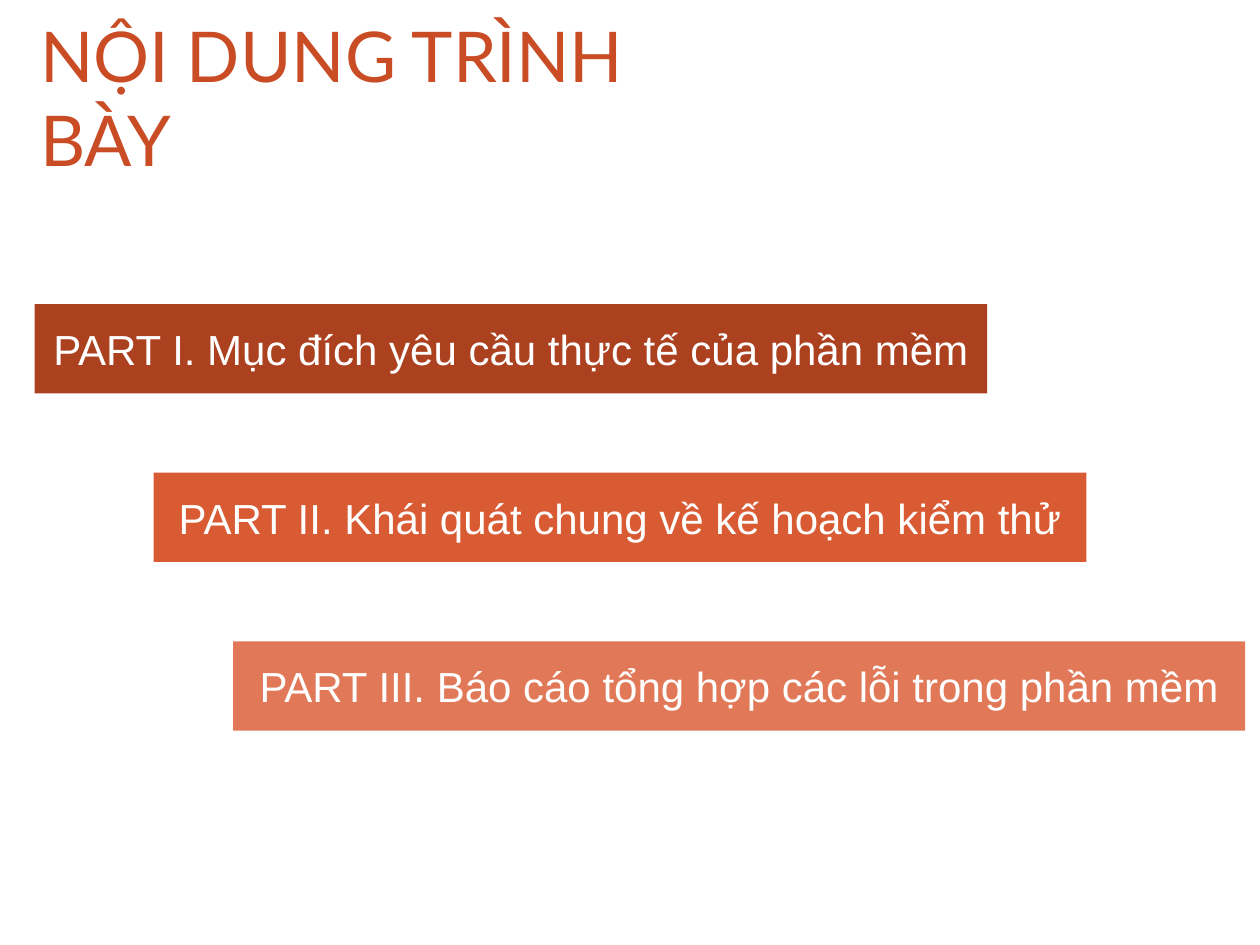
import pptx
import pptx.util
import pptx.dml.color
import pptx.enum.shapes
import pptx.enum.text

Cm = pptx.util.Cm
Pt = pptx.util.Pt
RGBColor = pptx.dml.color.RGBColor
PP_ALIGN = pptx.enum.text.PP_ALIGN

WHITE = RGBColor(0xFF, 0xFF, 0xFF)
TITLE_COLOR = RGBColor(0xC9, 0x4C, 0x25)
DARK = RGBColor(0xAC, 0x41, 0x20)
MEDIUM = RGBColor(0xD9, 0x5B, 0x33)
LIGHT = RGBColor(0xE1, 0x79, 0x59)

TITLE = "NỘI DUNG TRÌNH BÀY"
# text, left and width in cm, fill
PARTS = [
    ("PART I. Mục đích yêu cầu thực tế của phần mềm", 0.7, 19.2, DARK),
    ("PART II. Khái quát chung về kế hoạch kiểm thử", 3.1, 18.8, MEDIUM),
    ("PART III. Báo cáo tổng hợp các lỗi trong phần mềm", 4.7, 20.4, LIGHT),
]
FIRST_TOP, BAR_HEIGHT, BAR_PITCH = 6.13, 1.8, 3.4


def write_text(sp, text, *, font, size, color, align):
    tf = sp.text_frame
    tf.word_wrap = True
    tf.vertical_anchor = pptx.enum.text.MSO_ANCHOR.MIDDLE
    p = tf.paragraphs[0]
    p.alignment = align
    r = p.add_run()
    r.text = text
    r.font.name = font
    r.font.size = Pt(size)
    r.font.color.rgb = color


def main():
    prs = pptx.Presentation()
    prs.slide_width, prs.slide_height = Cm(25.4), Cm(19.05)
    s = prs.slides.add_slide(prs.slide_layouts[6])

    title = s.shapes.add_textbox(Cm(0.3), Cm(0.84), Cm(14.83), Cm(2.2))
    title.text_frame.margin_left = Cm(0.51)
    title.text_frame.margin_right = 0
    write_text(title, TITLE, font="Lato", size=40, color=TITLE_COLOR,
               align=PP_ALIGN.LEFT)

    for i, (text, left, width, fill) in enumerate(PARTS):
        top = FIRST_TOP + i * BAR_PITCH
        bar = s.shapes.add_shape(
            pptx.enum.shapes.MSO_SHAPE.RECTANGLE,
            Cm(left), Cm(top), Cm(width), Cm(BAR_HEIGHT))
        bar.shadow.inherit = False
        bar.fill.solid()
        bar.fill.fore_color.rgb = fill
        bar.line.fill.background()
        write_text(bar, text, font="Arial", size=24, color=WHITE,
                   align=PP_ALIGN.CENTER)

    prs.save("out.pptx")


if __name__ == "__main__":
    main()
